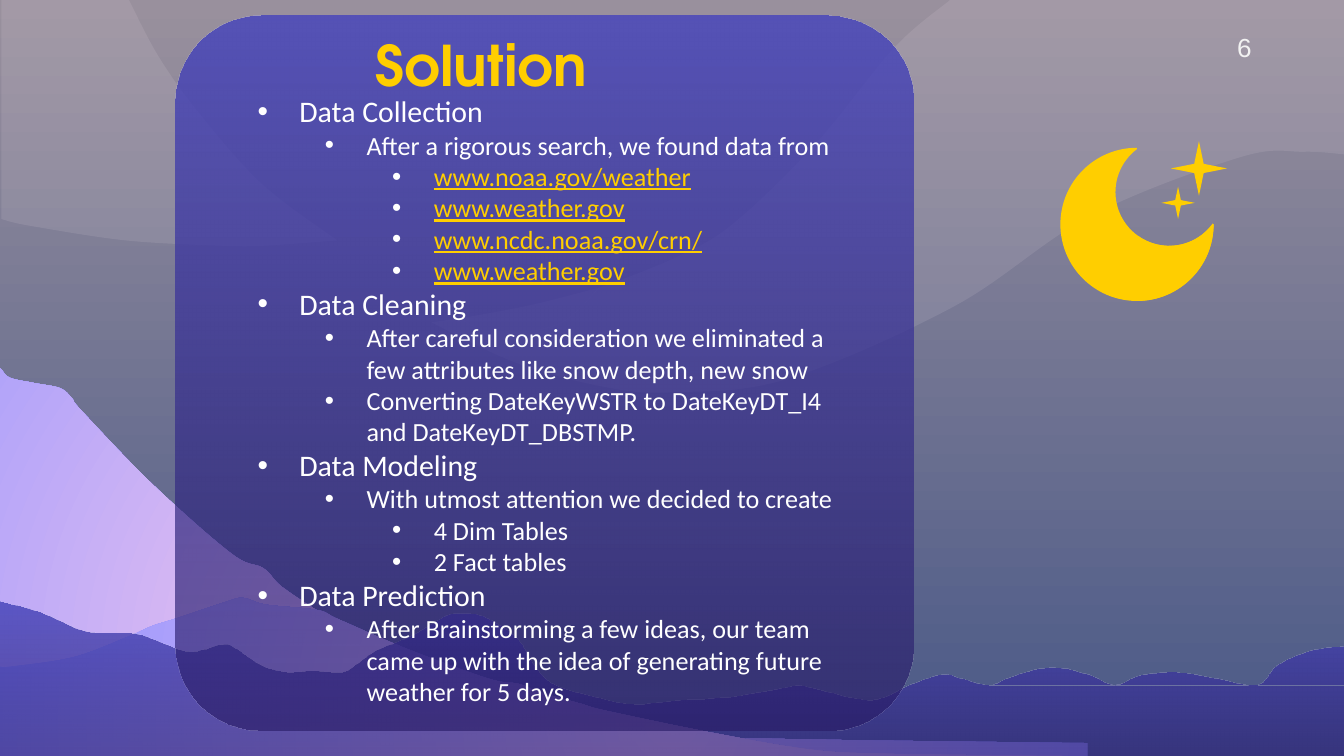
import math
from dataclasses import dataclass

import pptx
import pptx.dml.fill
import pptx.enum.shapes
import pptx.enum.text
import pptx.oxml.ns
import pptx.shapes.base
import pptx.slide
import pptx.text.text
from lxml import etree
from pptx.dml.color import RGBColor
from pptx.oxml.ns import qn
from pptx.util import Cm, Pt

Point = tuple[float, float]
Segment = list[Point]  # one point for a straight line, three for a Bézier curve

UNIT = Cm(2.54)  # one unit of the outline coordinates
YELLOW = RGBColor(0xFF, 0xCE, 0x00)
WHITE = RGBColor(0xFF, 0xFF, 0xFF)
PALE_GREY = RGBColor(0xF2, 0xF2, 0xF2)
MIST = RGBColor(0xFD, 0xF0, 0xF7)
SKY_TOP = RGBColor(0x99, 0x90, 0x9D)
SKY_BOTTOM = RGBColor(0x49, 0x58, 0x87)
PINK = RGBColor(0xF5, 0xC8, 0xED)
LAVENDER = RGBColor(0x93, 0x93, 0xFF)
INDIGO = RGBColor(0x48, 0x46, 0xBB)
NIGHT = RGBColor(0x28, 0x1B, 0x66)


@dataclass(frozen=True)
class Gradient:
    colors: tuple[RGBColor, RGBColor]
    opacities: tuple[int, int] = (100, 100)
    radial: bool = False


@dataclass(frozen=True)
class Item:
    level: int
    text: str
    is_address: bool = False


SKY = Gradient((SKY_TOP, SKY_BOTTOM))
GLOW = Gradient((PINK, LAVENDER), radial=True)
DUSK = Gradient((INDIGO, NIGHT), (84, 63))

FAR_MOUNTAIN = [
    (-1.91, 3.92), (-1.82, 3.91), (-1.4, 3.77), (-0.96, 3.38), (-0.78, 3.19), (-0.59, 3.04),
    (-0.22, 2.75), (-0.1, 2.69), (0, 2.74), (0.07, 2.81), (0.25, 2.85), (0.45, 2.89), (0.54, 2.97),
    (0.61, 3.06), (1.13, 3.6), (1.72, 4.12), (1.96, 4.23), (2.1, 4.37), (2.43, 4.59), (2.61, 4.7),
    (3.38, 5.06), (4.13, 5.39), (4.7, 5.47), (5.38, 5.49), (6.45, 5.51), (8.09, 5.53),
]
LOW_HILL = [
    (0, 4.96), (0.09, 4.96), (0.55, 4.89), (0.95, 4.74), (1.13, 4.66), (1.32, 4.6),
    (1.68, 4.48), (1.81, 4.45), (1.98, 4.5), (2.36, 4.54), (2.52, 4.61), (3.03, 4.83),
    (3.63, 5.05), (3.86, 5.09), (4.01, 5.15), (4.33, 5.24), (4.51, 5.29), (5.28, 5.45),
    (6.04, 5.58), (6.6, 5.61), (7.29, 5.62), (8.35, 5.63), (10, 5.64),
]
NEAR_RIDGE = [
    (0, 4.48), (0.3, 4.56), (0.63, 4.7), (0.9, 4.71), (1.06, 4.73), (1.4, 4.85), (1.64, 4.8),
    (1.74, 4.82), (1.94, 4.95), (2.13, 5), (2.35, 4.99), (2.55, 5), (2.67, 4.93),
    (2.8, 4.84), (3.05, 4.74), (3.31, 4.59), (3.42, 4.57), (3.59, 4.59), (3.84, 4.75),
    (3.99, 4.98), (4.13, 5.1), (4.4, 5.18), (4.71, 5.24), (5.06, 5.21), (5.42, 5.19),
    (5.78, 5.13), (5.95, 5.1), (6.12, 5.14), (6.49, 5.21), (6.76, 5.1), (7, 5.02),
    (7.15, 5.05), (7.35, 5.1), (7.49, 5.05), (7.71, 4.98), (7.89, 4.97), (8.1, 5.02),
    (8.29, 5.1), (8.47, 5.03), (8.75, 5), (9.05, 5.05), (9.35, 5.1), (9.5, 4.95),
    (9.76, 4.84), (10.01, 4.81),
]
CLOUD_LOWER_EDGE = [
    (10.01, 1.15), (9.7, 1.13), (9.23, 1.17), (8.11, 1.61), (7.1, 2.28), (5.86, 2.82),
    (5.01, 2.92), (4.5, 2.88), (3.84, 2.7), (3.21, 2.4),
]
CLOUD_INNER_EDGE = [(3.42, 2.37), (3.6, 2.46), (3.82, 2.48), (4.18, 2.4), (4.46, 2.14)]
CLOUD_UPPER_EDGE = [(4.55, 2.11), (5.02, 1.92), (5.45, 1.67), (6.07, 1.07), (6.65, 0.36), (7.07, 0)]
LENS_TOP = [(4.46, 2.14), (3.95, 2.27), (3.42, 2.37)]
LEFT_CLOUD_SIDE = [(0.95, -0.02), (1.18, 0.42), (1.48, 0.84), (1.95, 1.37), (2.51, 1.79)]
LEFT_CLOUD_BASE = [(2.51, 1.79), (1.95, 1.83), (1.67, 1.83), (0.94, 1.79), (0.22, 1.68), (0.01, 1.63)]

ITEMS = [
    Item(0, "Data Collection"),
    Item(1, "After a rigorous search, we found data from"),
    Item(2, "www.noaa.gov/weather", True),
    Item(2, "www.weather.gov", True),
    Item(2, "www.ncdc.noaa.gov/crn/", True),
    Item(2, "www.weather.gov", True),
    Item(0, "Data Cleaning"),
    Item(1, "After careful consideration we eliminated a few attributes like snow depth, new snow"),
    Item(1, "Converting DateKeyWSTR to DateKeyDT_I4 and DateKeyDT_DBSTMP."),
    Item(0, "Data Modeling"),
    Item(1, "With utmost attention we decided to create"),
    Item(2, "4 Dim Tables"),
    Item(2, "2 Fact tables"),
    Item(0, "Data Prediction"),
    Item(1, "After Brainstorming a few ideas, our team came up with the idea of generating future weather for 5 days."),
]


def smooth(knots: list[Point]) -> list[Segment]:
    """Join the knots by Bézier curves with Catmull-Rom tangents."""
    padded = [knots[0], *knots, knots[-1]]
    return [[knots[0]]] + [
        [(b[0] + (c[0] - a[0]) / 6, b[1] + (c[1] - a[1]) / 6), (c[0] - (d[0] - b[0]) / 6, c[1] - (d[1] - b[1]) / 6), c]
        for a, b, c, d in zip(padded, padded[1:], padded[2:], padded[3:])
    ]


def arc(center: Point, radius: float, start: int, end: int) -> list[Segment]:
    """Approximate a circular arc by Bézier curves of at most a quarter turn."""
    count = math.ceil(abs(end - start) / 90)
    turn = math.radians(end - start) / count
    reach = 4 / 3 * math.tan(turn / 4)

    def at(angle: float, along: float = 0) -> Point:
        cosine, sine = math.cos(angle), math.sin(angle)
        return center[0] + radius * (cosine - along * sine), center[1] + radius * (sine + along * cosine)

    angles = [math.radians(start) + turn * step for step in range(count + 1)]
    return [[at(angles[0])]] + [[at(a, reach), at(b, -reach), at(b)] for a, b in zip(angles, angles[1:])]


def paint_gradient(fill: pptx.dml.fill.FillFormat, owner: etree._Element, gradient: Gradient) -> None:
    fill.gradient()
    fill.gradient_angle = 270
    for stop, color in zip(fill.gradient_stops, gradient.colors):
        stop.color.rgb = color
    element = owner.find(".//" + qn("a:gradFill"))
    set_opacity(element, gradient.opacities)
    if gradient.radial:
        circle = etree.Element(qn("a:path"), path="circle")
        etree.SubElement(circle, qn("a:fillToRect"), l="50000", t="50000", r="50000", b="50000")
        element.replace(element.find(qn("a:lin")), circle)


def set_opacity(element: etree._Element, percents: tuple[int, ...]) -> None:
    for color, percent in zip(element.iter(qn("a:srgbClr")), percents):
        if percent < 100:
            etree.SubElement(color, qn("a:alpha"), val=str(percent * 1000))


def paint(shape: pptx.shapes.base.BaseShape, color: Gradient | RGBColor, opacity: int = 100) -> None:
    shape.shadow.inherit = False
    shape.line.fill.background()
    if isinstance(color, Gradient):
        paint_gradient(shape.fill, shape._element.spPr, color)
    else:
        shape.fill.solid()
        shape.fill.fore_color.rgb = color
        set_opacity(shape._element.spPr, (opacity,))


def draw_outline(slide: pptx.slide.Slide, segments: list[Segment], color: Gradient | RGBColor, opacity: int = 100) -> None:
    points = [(round(x * UNIT), round(y * UNIT)) for segment in segments for x, y in segment]
    builder = slide.shapes.build_freeform(*points[0])
    builder.add_line_segments(points[1:], close=True)
    shape = builder.convert_to_shape()
    lines = iter(list(shape._element.spPr.iter(qn("a:lnTo"))))
    for segment in segments[1:]:
        members = [next(lines) for _ in segment]
        if len(members) == 3:
            curve = etree.Element(qn("a:cubicBezTo"))
            members[0].addprevious(curve)
            for line in members:
                curve.append(line[0])
                line.getparent().remove(line)
    paint(shape, color, opacity)


def draw_hill(slide: pptx.slide.Slide, ridge: list[Point], bottom: float, gradient: Gradient) -> None:
    draw_outline(slide, smooth(ridge) + [[(ridge[-1][0], bottom)], [(ridge[0][0], bottom)]], gradient)


def draw_sparkle(slide: pptx.slide.Slide, left: float, top: float, width: float, height: float) -> None:
    star = slide.shapes.add_shape(pptx.enum.shapes.MSO_SHAPE.STAR_4_POINT, Cm(left), Cm(top), Cm(width), Cm(height))
    star.adjustments[0] = 0.12
    paint(star, YELLOW)


def add_text_frame(slide: pptx.slide.Slide, left: float, top: float, width: float, height: float) -> pptx.text.text.TextFrame:
    frame = slide.shapes.add_textbox(Cm(left), Cm(top), Cm(width), Cm(height)).text_frame
    frame.word_wrap = True
    frame.margin_left = frame.margin_right = frame.margin_top = frame.margin_bottom = Cm(0.25)
    return frame


def set_font(paragraph: pptx.text.text._Paragraph, name: str, size: int, color: RGBColor) -> None:
    paragraph.font.name = name
    paragraph.font.size = Pt(size)
    paragraph.font.color.rgb = color


def write_item(paragraph: pptx.text.text._Paragraph, item: Item) -> None:
    paragraph.text = item.text
    paragraph.level = item.level
    properties = paragraph._p.get_or_add_pPr()
    properties.set("marL", str(Cm(0.79 + 1.27 * item.level)))
    properties.set("indent", str(Cm(-0.79)))
    etree.SubElement(etree.SubElement(properties, qn("a:buClr")), qn("a:srgbClr"), val=str(WHITE))
    etree.SubElement(properties, qn("a:buFont"), typeface="Arial")
    etree.SubElement(properties, qn("a:buChar"), char="•")
    set_font(paragraph, "Calibri", 14 if item.level else 16, YELLOW if item.is_address else WHITE)
    if item.is_address:
        paragraph.font.underline = True


def main() -> None:
    presentation = pptx.Presentation()
    presentation.slide_width, presentation.slide_height = Cm(25.4), Cm(14.29)
    slide = presentation.slides.add_slide(presentation.slide_layouts[6])
    paint_gradient(slide.background.fill, slide._element, SKY)

    draw_hill(slide, FAR_MOUNTAIN, 7.11, GLOW)
    draw_hill(slide, LOW_HILL, 6.29, GLOW)
    draw_hill(slide, NEAR_RIDGE, 5.94, DUSK)
    cloud = smooth(CLOUD_LOWER_EDGE) + smooth(CLOUD_INNER_EDGE) + smooth(CLOUD_UPPER_EDGE) + [[(10.01, 0)]]
    lens = smooth(CLOUD_INNER_EDGE) + smooth(LENS_TOP)[1:]
    left_cloud = smooth(LEFT_CLOUD_SIDE) + smooth(LEFT_CLOUD_BASE)[1:] + [[(0.01, -0.02)]]
    for outline in (cloud, lens, left_cloud):
        draw_outline(slide, outline, MIST, 10)

    panel = slide.shapes.add_shape(pptx.enum.shapes.MSO_SHAPE.ROUNDED_RECTANGLE, Cm(3.31), Cm(0.3), Cm(13.95), Cm(13.5))
    panel.adjustments[0] = 0.12
    paint(panel, DUSK)

    title = add_text_frame(slide, 3.44, -0.8, 11.31, 2.89)
    title.vertical_anchor = pptx.enum.text.MSO_ANCHOR.BOTTOM
    heading = title.paragraphs[0]
    heading.text = "Solution"
    heading.alignment = pptx.enum.text.PP_ALIGN.CENTER
    set_font(heading, "TeX Gyre Adventor", 30, YELLOW)
    heading.font.bold = True

    body = add_text_frame(slide, 4.62, 1.51, 11.96, 12.29)
    for index, item in enumerate(ITEMS):
        write_item(body.add_paragraph() if index else body.paragraphs[0], item)

    disc, bite = (8.46, 1.67), (8.7, 1.43)
    moon = arc(disc, 0.57, -90, -360) + arc(bite, 0.4, 36, 233)
    moon_shade = arc(bite, 0.4, 36, 126) + arc(disc, 0.57, 90, 0)
    for outline in (moon, moon_shade):
        draw_outline(slide, outline, YELLOW)
    draw_sparkle(slide, 22.13, 2.67, 1.06, 1.03)
    draw_sparkle(slide, 21.95, 3.53, 0.63, 0.61)

    number_frame = add_text_frame(slide, 23.13, 0.46, 1.37, 0.86)
    number_frame.margin_top = number_frame.margin_bottom = Cm(0.13)
    number = number_frame.paragraphs[0]
    number.text = "6"
    set_font(number, "Arial", 14, PALE_GREY)

    presentation.save("out.pptx")


if __name__ == "__main__":
    main()
